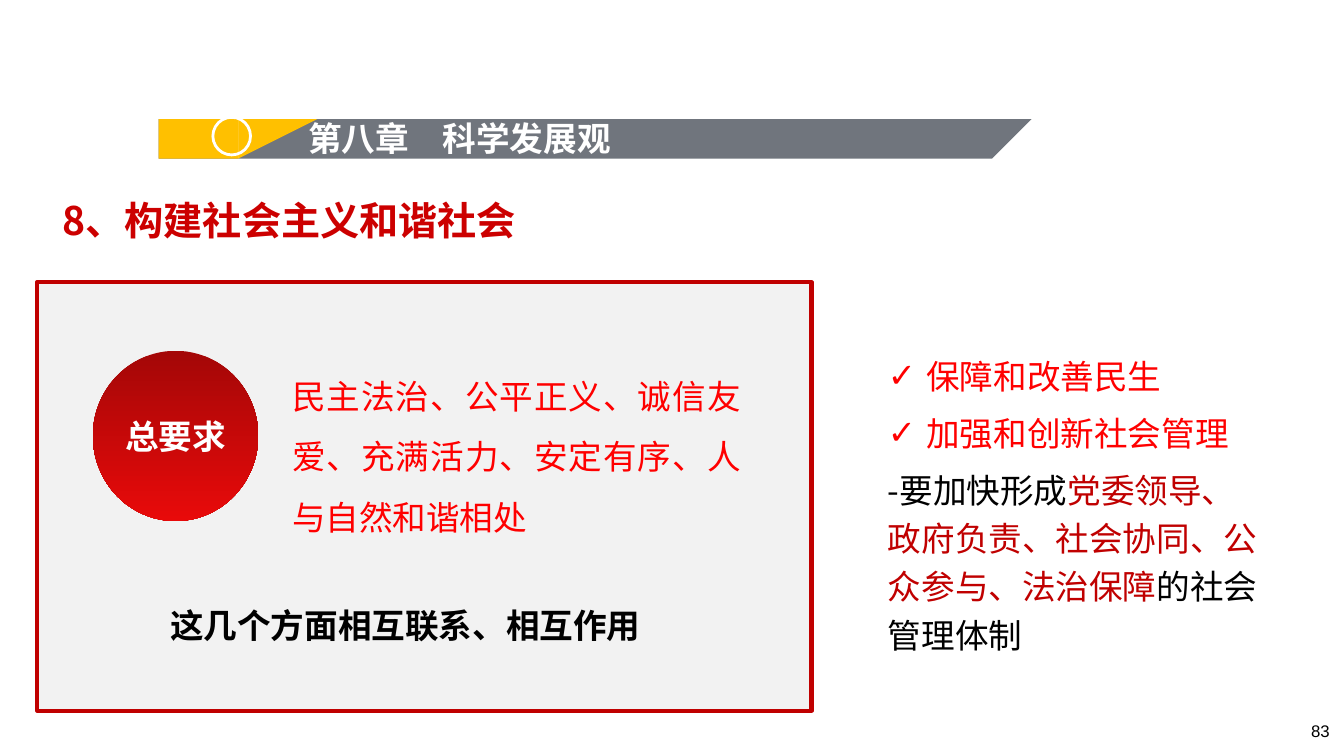
from lxml import etree
from pptx import Presentation
from pptx import util as u
from pptx.dml.color import RGBColor
from pptx.enum import shapes, text
from pptx.oxml.ns import qn

Cm, Pt = u.Cm, u.Pt
THEME = {
    "font": "Noto Sans CJK SC", "number_font": "Arial",
    "heading": 28, "body": 24, "small": 12,
    "white": "FFFFFF", "black": "000000", "gray": "70757D", "gold": "FFC000",
    "panel": "F2F2F2", "title": "CC0000", "border": "C00000", "red": "FF0000",
    "circle_top": "A40707", "circle_bottom": "E80A0A",
}


def rgb(name):
    return RGBColor.from_string(THEME[name])


def style(p, color, size="body", bold=False, font="font"):
    for r in p.runs:
        r.font.size, r.font.bold = Pt(THEME[size]), bold
        r.font.color.rgb = rgb(color)
        r.font.name = THEME[font]
        ea = etree.SubElement(r._r.get_or_add_rPr(), qn("a:ea"))
        ea.set("typeface", THEME[font])


prs = Presentation()
prs.slide_width, prs.slide_height = Cm(33.87), Cm(19.05)
s = prs.slides.add_slide(prs.slide_layouts[1])

banner = [
    ("gray", [(4.37, 2.77), (26.24, 2.77), (25.35, 4.19), (4.37, 4.19)]),
    ("gold", [(4.17, 2.57), (7.52, 2.57), (6.35, 4.42), (4.19, 4.42)]),
    ("white", [(5.89, 3.78), (5.82, 3.71), (6.02, 3.48), (5.51, 3.48), (5.51, 3.38),
               (6.02, 3.38), (5.82, 3.15), (5.89, 3.07), (6.2, 3.43)]),
]
for color, points in banner:
    builder = s.shapes.build_freeform(*points[0], scale=Cm(1))
    builder.add_line_segments(points[1:], close=True)
    sp = builder.convert_to_shape()
    sp.shadow.inherit = False
    sp.fill.solid()
    sp.fill.fore_color.rgb = rgb(color)
    sp.line.fill.background()

ring = s.shapes.add_shape(shapes.MSO_SHAPE.DONUT, Cm(5.33), Cm(2.92), Cm(1.02), Cm(1.02))
ring.adjustments[0] = 0.07
ring.shadow.inherit = False
ring.fill.solid()
ring.fill.fore_color.rgb = rgb("white")
ring.line.fill.background()

panel = s.shapes.add_shape(shapes.MSO_SHAPE.RECTANGLE, Cm(0.94), Cm(7.11), Cm(19.51), Cm(10.8))
panel.shadow.inherit = False
panel.fill.solid()
panel.fill.fore_color.rgb = rgb("panel")
panel.line.color.rgb = rgb("border")
panel.line.width = Pt(3)

circle = s.shapes.add_shape(shapes.MSO_SHAPE.OVAL, Cm(2.34), Cm(8.84), Cm(4.17), Cm(4.29))
circle.shadow.inherit = False
circle.fill.gradient()
circle.fill.gradient_angle = 270
for stop, color in zip(circle.fill.gradient_stops, ("circle_top", "circle_bottom")):
    stop.color.rgb = rgb(color)
circle.line.fill.background()
tf = circle.text_frame
tf.margin_left = tf.margin_right = 0
tf.vertical_anchor = text.MSO_ANCHOR.MIDDLE
tf.text = "总要求"
tf.paragraphs[0].alignment = text.PP_ALIGN.CENTER
style(tf.paragraphs[0], "white", bold=True)

LEFT, RIGHT, JUSTIFY = text.PP_ALIGN.LEFT, text.PP_ALIGN.RIGHT, text.PP_ALIGN.JUSTIFY
labels = [
    ("第八章　科学发展观", (7.52, 2.84, 8.36, 1.27), LEFT, 1.0, ("white", "body", True)),
    ("民主法治、公平正义、诚信友爱、充满活力、安定有序、人与自然和谐相处",
     (7.11, 8.84, 11.81, 4.7), JUSTIFY, 1.5, ("red",)),
    ("这几个方面相互联系、相互作用", (4.04, 15.11, 12.47, 1.27), LEFT, 1.0,
     ("black", "body", True)),
    ("83", (32.46, 18.03, 1.3, 1.02), RIGHT, 1.0, ("black", "small", False, "number_font")),
]
for words, box, align, spacing, look in labels:
    tf = s.shapes.add_textbox(*map(Cm, box)).text_frame
    tf.word_wrap = True
    tf.text = words
    p = tf.paragraphs[0]
    p.alignment, p.line_spacing = align, spacing
    style(p, *look)

title, body = s.shapes.title, s.placeholders[1]
for sp, box in ((title, (1.32, 4.6, 26.64, 1.3)), (body, (22.12, 8.64, 10.11, 7.9))):
    sp.left, sp.top, sp.width, sp.height = map(Cm, box)
    sp.text_frame.word_wrap = True
    sp.text_frame.auto_size = text.MSO_AUTO_SIZE.NONE

title.text_frame.vertical_anchor = text.MSO_ANCHOR.MIDDLE
title.text_frame.text = "8、构建社会主义和谐社会"
p = title.text_frame.paragraphs[0]
p.alignment, p.line_spacing = LEFT, 1.5
style(p, "title", "heading", True)

measures = [
    (True, [("保障和改善民生", "red")]),
    (True, [("加强和创新社会管理", "red")]),
    (False, [("-要加快形成", "black"),
             ("党委领导、政府负责、社会协同、公众参与、法治保障", "border"),
             ("的社会管理体制", "black")]),
]
tf = body.text_frame
for i, (ticked, parts) in enumerate(measures):
    p = tf.add_paragraph() if i else tf.paragraphs[0]
    pPr = p._p.get_or_add_pPr()
    indent = Cm(0.97) if ticked else 0
    pPr.set("marL", str(indent))
    pPr.set("indent", str(-indent))
    bullet = etree.SubElement(pPr, qn("a:buChar" if ticked else "a:buNone"))
    if ticked:
        bullet.set("char", "✓")
    p.line_spacing, p.space_before = 1.2, Pt(6 if i else 0)
    for words, color in parts:
        p.add_run().text = words
    style(p, "black")
    for r, (words, color) in zip(p.runs, parts):
        r.font.color.rgb = rgb(color)

prs.save("out.pptx")
